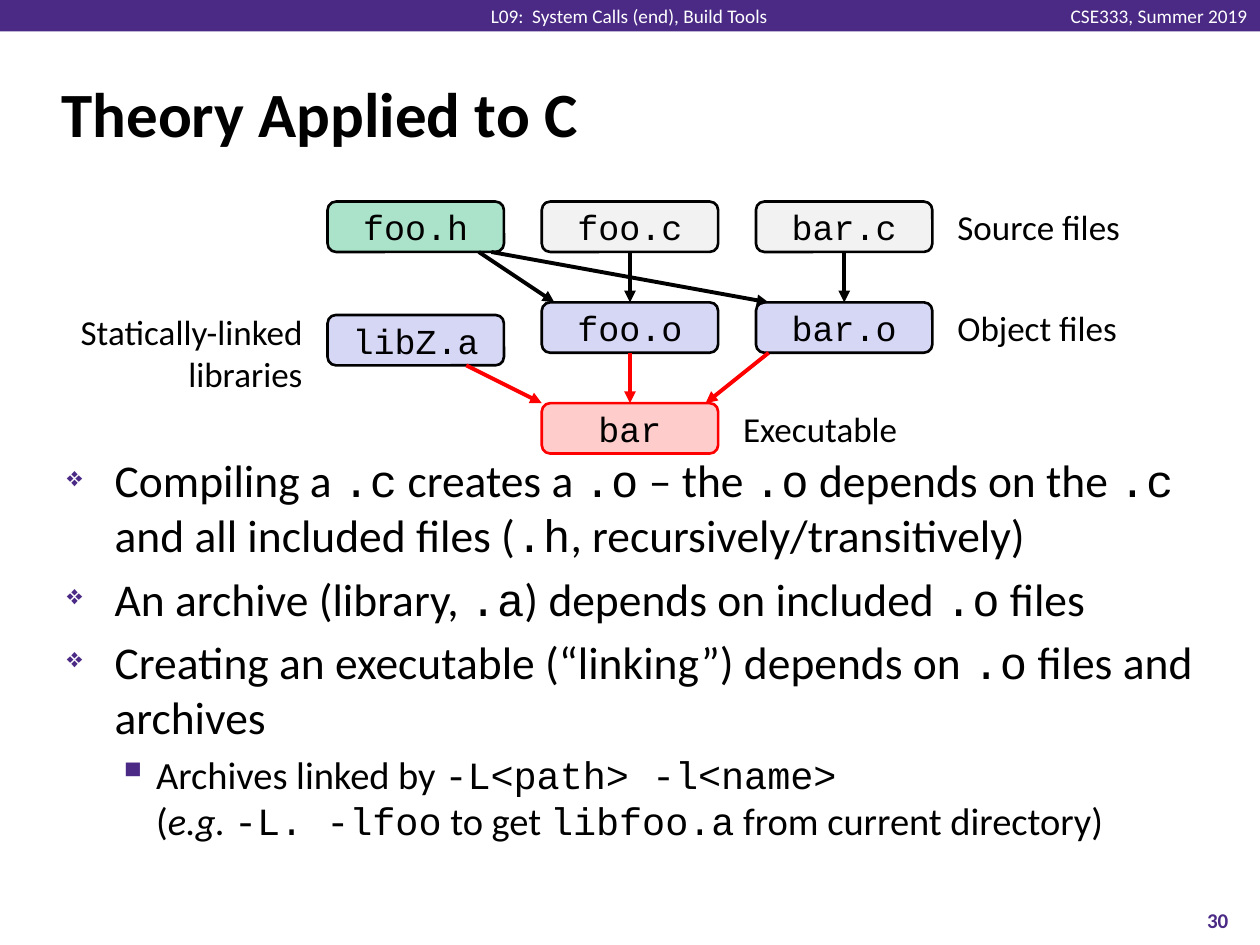
from typing import Any, NamedTuple

from lxml.etree import SubElement
from pptx import Presentation
from pptx.dml.color import RGBColor as RGB
from pptx.enum.shapes import MSO_CONNECTOR as CONN, MSO_SHAPE as SHAPE
from pptx.enum.text import MSO_ANCHOR as ANCHOR, PP_ALIGN as ALIGN
from pptx.oxml.ns import qn
from pptx.util import Emu, Pt

PX = 9144  # EMU in one px, 100 px to the inch
COLORS = {
    "black": "000000", "white": "FFFFFF", "purple": "4B2A85", "red": "FF0000",
    "header": "AAE2CA", "source": "F2F2F2", "object": "D6D6F5", "program": "FFCCCC",
}
SANS, MONO = "Calibri", "Courier New"
BOX_W, BOX_H = 140, 40
COL1, COL2, COL3 = (260 + 170 * i for i in range(3))
ROW1, ROW2, ROW3 = (160 + 80 * i for i in range(3))


class Area(NamedTuple):
    x: int
    y: int
    w: int
    h: int


class Label(NamedTuple):
    text: str
    area: Area
    size: int = 20
    color: str = "black"
    align: Any = ALIGN.LEFT
    bold: bool = False
    wrap: bool = True


class FileBox(NamedTuple):
    name: str
    x: int
    y: int
    fill: str
    line: str = "black"


class Arrow(NamedTuple):
    x1: int
    y1: int
    x2: int
    y2: int
    color: str = "black"


class Bullet(NamedTuple):
    """Text marks code with backticks, italics with asterisks, line breaks with newlines."""
    text: str
    size: int = 26
    left: int = 38
    hang: int = 38
    char: str = "❖"
    percent: int = 60


LABELS = [
    Label("CSE333, Summer 2019", Area(838, 3, 162, 19), 11, "white", ALIGN.RIGHT, wrap=False),
    Label("L09:  System Calls (end), Build Tools", Area(378, 3, 243, 19), 11, "white",
          ALIGN.CENTER, wrap=False),
    Label("Theory Applied to C", Area(39, 48, 919, 83), 36, bold=True),
    Label("30", Area(933, 710, 67, 40), 12, "purple", ALIGN.CENTER, bold=True),
    Label("Source files", Area(750, ROW1 + 3, 160, 34)),
    Label("Object files", Area(750, ROW2 + 3, 160, 34)),
    Label("Executable", Area(580, ROW3 + 3, 220, 34)),
    Label("Statically-linked\vlibraries", Area(20, 246, 230, 67), align=ALIGN.RIGHT),
]
BOXES = [
    FileBox("foo.h", COL1, ROW1, "header"),
    FileBox("foo.c", COL2, ROW1, "source"),
    FileBox("bar.c", COL3, ROW1, "source"),
    FileBox("libZ.a", COL1, ROW2 + 10, "object"),
    FileBox("foo.o", COL2, ROW2, "object"),
    FileBox("bar.o", COL3, ROW2, "object"),
    FileBox("bar", COL2, ROW3, "program", "red"),
]
ARROWS = [
    Arrow(500, 200, 500, 240),
    Arrow(670, 200, 670, 240),
    Arrow(390, 200, 610, 240),
    Arrow(380, 200, 440, 240),
    Arrow(500, 280, 500, 320, "red"),
    Arrow(370, 290, 430, 320, "red"),
    Arrow(610, 280, 560, 320, "red"),
]
BULLETS = [
    Bullet("Compiling a `.c` creates a `.o` – the `.o` depends on the `.c` "
           "and all included files (`.h`, recursively/transitively)"),
    Bullet("An archive (library, `.a`) depends on included `.o` files"),
    Bullet("Creating an executable (“linking”) depends on `.o` files and archives"),
    Bullet("Archives linked by `-L<path> -l<name>`\n(*e.g. *`-L. -lfoo` to get "
           "`libfoo.a` from current directory)", 22, 71, 31, "▪", 110),
]


def rgb(color: str) -> RGB:
    return RGB.from_string(COLORS[color])


def emu(*lengths: int) -> list[Emu]:
    return [Emu(n * PX) for n in lengths]


def set_format(obj: Any, values: dict[str, Any]) -> None:
    for name, value in values.items():
        setattr(obj, name, value)


def set_frame(tf: Any, anchor: Any = ANCHOR.MIDDLE, side: int = 10, wrap: bool = True) -> None:
    set_format(tf, {"word_wrap": wrap, "vertical_anchor": anchor,
                    "margin_left": Emu(side * PX), "margin_right": Emu(side * PX),
                    "margin_top": 0, "margin_bottom": 0})


def set_font(font: Any, size: int, color: str = "black", name: str = SANS, **extra: Any) -> None:
    set_format(font, {"size": Pt(size), "name": name, **extra})
    font.color.rgb = rgb(color)


def add_label(s: Any, label: Label) -> None:
    tf = s.shapes.add_textbox(*emu(*label.area)).text_frame
    set_frame(tf, wrap=label.wrap)
    p = tf.paragraphs[0]
    p.text, p.alignment = label.text, label.align
    for r in p.runs:
        set_font(r.font, label.size, label.color, bold=label.bold)


def add_filled(s: Any, kind: Any, area: Area, fill: str) -> Any:
    sp = s.shapes.add_shape(kind, *emu(*area))
    sp.shadow.inherit = False
    sp.fill.solid()
    sp.fill.fore_color.rgb = rgb(fill)
    return sp


def add_file_box(s: Any, box: FileBox) -> None:
    sp = add_filled(s, SHAPE.ROUNDED_RECTANGLE, Area(box.x, box.y, BOX_W, BOX_H), box.fill)
    sp.line.color.rgb, sp.line.width = rgb(box.line), Pt(1.5)
    set_frame(sp.text_frame)
    p = sp.text_frame.paragraphs[0]
    p.text, p.alignment = box.name, ALIGN.CENTER
    set_font(p.runs[0].font, 20, name=MONO)


def add_arrow(s: Any, arrow: Arrow) -> None:
    c = s.shapes.add_connector(CONN.STRAIGHT, *emu(*arrow[:4]))
    c.line.color.rgb, c.line.width = rgb(arrow.color), Pt(2.25)
    SubElement(c.line._get_or_add_ln(), qn("a:tailEnd"), type="triangle")
    SubElement(c._element.spPr, qn("a:effectLst"))


def add_marked_runs(p: Any, text: str, size: int) -> None:
    for i, part in enumerate(text.split("`")):
        for j, piece in enumerate(part.split("*")):
            for k, words in enumerate(piece.split("\n")):
                if k:
                    p.add_line_break()
                if words:
                    r = p.add_run()
                    r.text = words
                    set_font(r.font, size, name=MONO if i % 2 else SANS, italic=bool(j % 2))


def add_bullets(s: Any, area: Area, bullets: list[Bullet]) -> None:
    tf = s.shapes.add_textbox(*emu(*area)).text_frame
    set_frame(tf, ANCHOR.TOP, side=0)
    for i, b in enumerate(bullets):
        p = tf.add_paragraph() if i else tf.paragraphs[0]
        p.space_before = Pt(0.2 * b.size if i else 0)
        pPr = p._p.get_or_add_pPr()
        pPr.set("marL", str(b.left * PX))
        pPr.set("indent", str(-b.hang * PX))
        SubElement(SubElement(pPr, qn("a:buClr")), qn("a:srgbClr"), val=COLORS["purple"])
        SubElement(pPr, qn("a:buSzPct"), val=str(b.percent * 1000))
        SubElement(pPr, qn("a:buChar"), char=b.char)
        add_marked_runs(p, b.text, b.size)


def main() -> None:
    prs = Presentation()
    prs.slide_width, prs.slide_height = emu(1000, 750)
    s = prs.slides.add_slide(prs.slide_layouts[6])
    add_filled(s, SHAPE.RECTANGLE, Area(0, 0, 1000, 25), "purple").line.fill.background()
    for label in LABELS:
        add_label(s, label)
    add_bullets(s, Area(53, 359, 895, 334), BULLETS)
    for box in BOXES:
        add_file_box(s, box)
    for arrow in ARROWS:
        add_arrow(s, arrow)
    prs.save("out.pptx")


if __name__ == "__main__":
    main()
